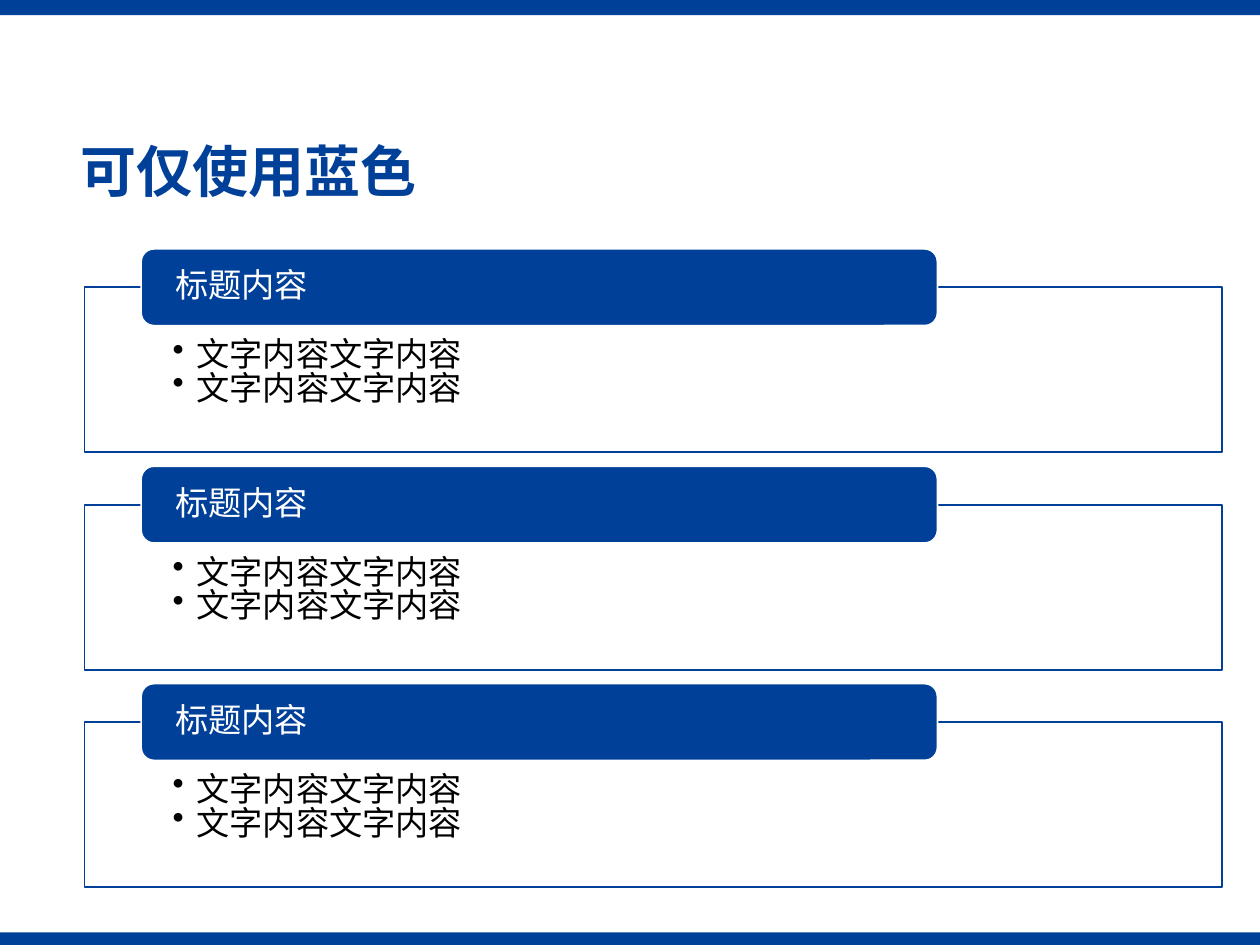
from dataclasses import dataclass
from lxml.etree import SubElement
from pptx import Presentation
from pptx.dml.color import RGBColor
from pptx.enum.shapes import MSO_SHAPE
from pptx.enum.text import MSO_ANCHOR, PP_ALIGN
from pptx.oxml.ns import qn
from pptx.util import Inches, Pt


@dataclass(frozen=True)
class Theme:
    font: str = "Noto Sans CJK SC"
    blue: RGBColor = RGBColor(0x00, 0x40, 0x98)
    white: RGBColor = RGBColor(0xFF, 0xFF, 0xFF)
    black: RGBColor = RGBColor(0x00, 0x00, 0x00)
    title_size: int = 32
    body_size: int = 19


theme = Theme()
TITLE = "可仅使用蓝色"
SECTIONS = [
    ("标题内容", ["文字内容文字内容", "文字内容文字内容"]),
    ("标题内容", ["文字内容文字内容", "文字内容文字内容"]),
    ("标题内容", ["文字内容文字内容", "文字内容文字内容"]),
]
BANDS = [(0, 0.12), (7.4, 0.1)]
FIRST_TOP, STEP = 2.28, 1.725
TAB_RISE = 0.305
BULLET_INDENT = 0.19


def add_panel(page, kind, place, fill, line=None):
    panel = page.shapes.add_shape(kind, *map(Inches, place))
    panel.shadow.inherit = False
    panel.fill.solid()
    panel.fill.fore_color.rgb = fill
    if line is None:
        panel.line.fill.background()
    else:
        panel.line.color.rgb = line
        panel.line.width = Pt(1)
    return panel


def write(box, lines, size, color, anchor, insets, spacing=0.9, bold=False, bullets=False):
    frame = box.text_frame
    frame.word_wrap = True
    frame.vertical_anchor = anchor
    frame.margin_left, frame.margin_top, frame.margin_right, frame.margin_bottom = map(Inches, insets)
    frame.text = "\n".join(lines)
    for para in frame.paragraphs:
        para.alignment = PP_ALIGN.LEFT
        para.line_spacing = spacing
        para.font.size = Pt(size)
        para.font.bold = bold
        para.font.color.rgb = color
        para.font.name = theme.font
        SubElement(para.font._element, qn("a:ea"), typeface=theme.font)
        if bullets:
            para.space_after = Pt(1)
            properties = para._p.get_or_add_pPr()
            properties.set("marL", str(Inches(BULLET_INDENT)))
            properties.set("indent", str(-Inches(BULLET_INDENT)))
            bullet = SubElement(properties, qn("a:buChar"), char="•")
            properties.find(qn("a:defRPr")).addprevious(bullet)


deck = Presentation()
deck.slide_width, deck.slide_height = Inches(10), Inches(7.5)
page = deck.slides.add_slide(deck.slide_layouts[6])

for top, height in BANDS:
    add_panel(page, MSO_SHAPE.RECTANGLE, (0, top, 10, height), theme.blue)

title = page.shapes.add_textbox(*map(Inches, (0.54, 1.07, 9.16, 0.63)))
write(title, [TITLE], theme.title_size, theme.blue, MSO_ANCHOR.MIDDLE,
      (0.1, 0.05, 0.1, 0.05), bold=True)

for index, (heading, points) in enumerate(SECTIONS):
    top = FIRST_TOP + index * STEP
    body = add_panel(page, MSO_SHAPE.RECTANGLE, (0.67, top, 9.03, 1.31), theme.white, theme.blue)
    write(body, points, theme.body_size, theme.black, MSO_ANCHOR.TOP,
          (0.7, 0.43, 0.7, 0.15), spacing=0.8, bullets=True)
    tab = add_panel(page, MSO_SHAPE.ROUNDED_RECTANGLE, (1.12, top - TAB_RISE, 6.32, 0.61),
                    theme.blue, theme.white)
    write(tab, [heading], theme.body_size, theme.white, MSO_ANCHOR.MIDDLE, (0.24, 0, 0.24, 0))

deck.save("out.pptx")
